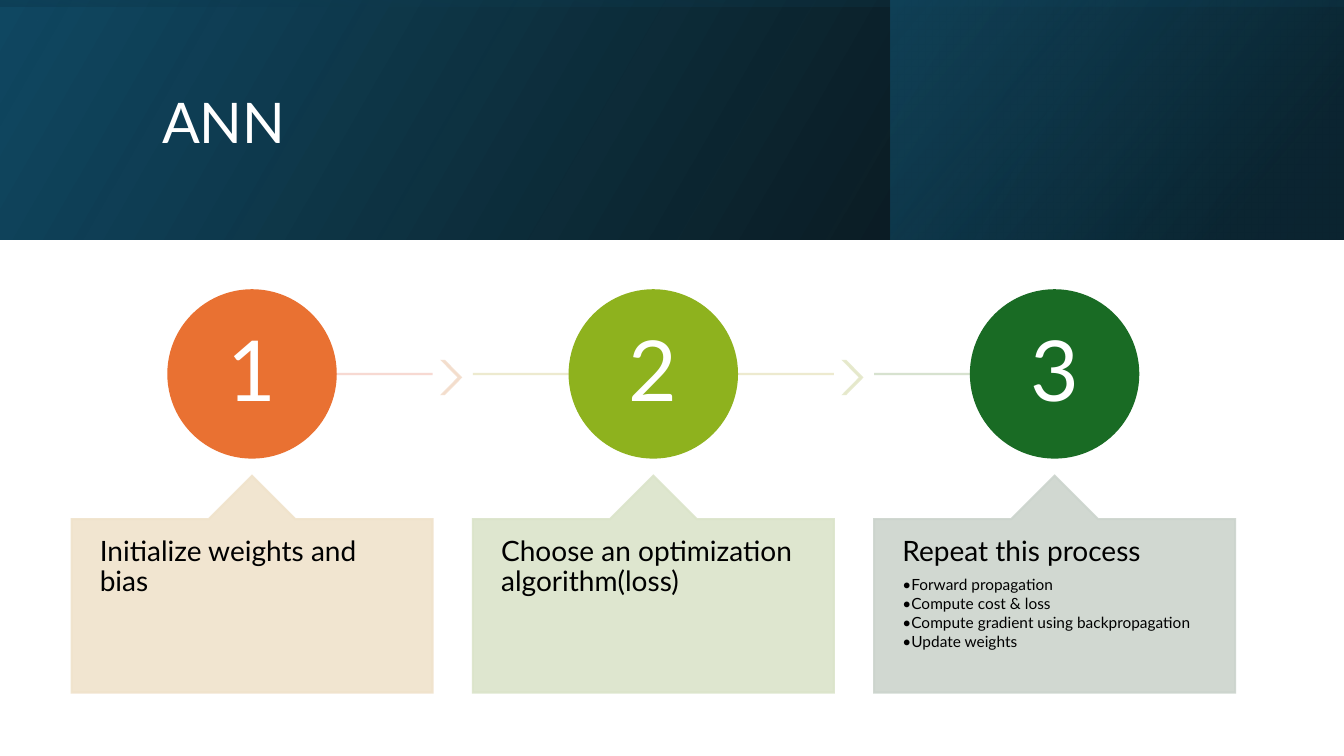
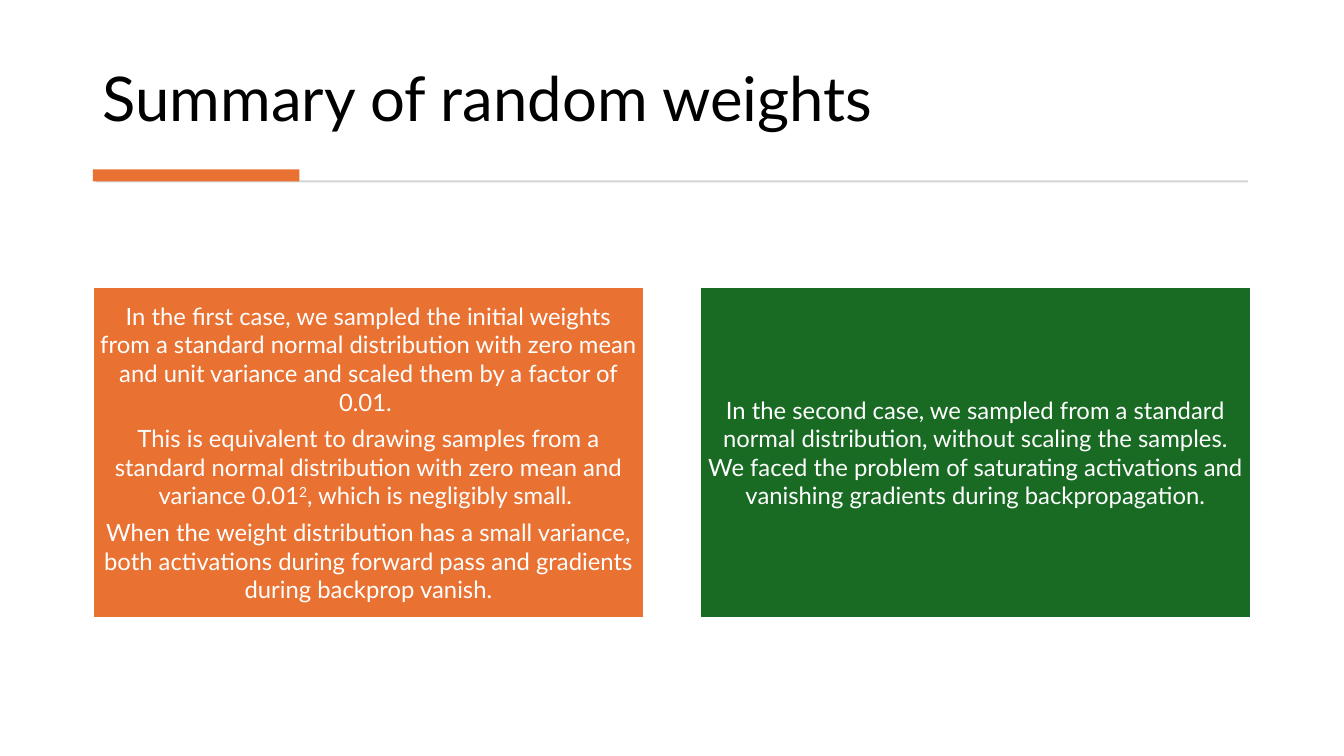
from lxml.etree import SubElement as Sub
from pptx import Presentation
from pptx.dml.color import RGBColor as RGB
from pptx.enum.shapes import MSO_CONNECTOR as LINK, MSO_SHAPE as KIND
from pptx.enum.text import MSO_ANCHOR as ANCHOR, PP_ALIGN as ALIGN
from pptx.oxml.ns import qn
from pptx.util import Inches, Pt

FONT = "Lato"
WIDE, HIGH = 13.33, 7.5
WHITE = RGB(0xFF, 0xFF, 0xFF)
BLACK = RGB(0, 0, 0)
ORANGE = RGB(0xE9, 0x71, 0x32)
LIME = RGB(0x8E, 0xB2, 0x1E)
GREEN = RGB(0x19, 0x6B, 0x24)
GREY = RGB(0xD5, 0xD5, 0xD5)
NAVY = RGB(0x10, 0x48, 0x62)
DEEP = RGB(0x0B, 0x30, 0x41)
TEAL = RGB(0x15, 0x60, 0x82)
PINK = RGB(0xF7, 0xD5, 0xCE)
PEACH = RGB(0xF3, 0xDD, 0xCC)
SAND = RGB(0xF0, 0xE3, 0xCB)
CREAM = RGB(0xEC, 0xE8, 0xCA)
STRAW = RGB(0xE5, 0xE8, 0xCA)
MINT = RGB(0xDB, 0xE4, 0xCA)
SAGE = RGB(0xD3, 0xDF, 0xCA)
MIST = RGB(0xCC, 0xD4, 0xCD)

STEPS = [
    (["Initialize weights and bias"], ORANGE, PINK, SAND, PEACH),
    (["Choose an optimization algorithm(loss)"], LIME, CREAM, MINT, STRAW),
    (["Repeat this process", "Forward propagation", "Compute cost & loss",
      "Compute gradient using backpropagation", "Update weights"],
     GREEN, SAGE, MIST, None),
]
CASES = [
    (ORANGE, [
        ["In the first case, we sampled the initial weights from a standard "
         "normal distribution with zero mean and unit variance and scaled "
         "them by a factor of 0.01. "],
        ["This is equivalent to drawing samples from a standard normal "
         "distribution with zero mean and variance\u00a00.01", "2",
         ", which is negligibly small. "],
        ["When the weight distribution has a small variance, both "
         "activations during forward pass and gradients during backprop "
         "vanish."]]),
    (GREEN, [
        ["In the second case, we sampled from a standard normal "
         "distribution, without scaling the samples. We faced the problem "
         "of saturating activations and vanishing gradients during "
         "backpropagation."]]),
]


def shape(slide, kind, box, fill, line=None):
    """Add a flat preset shape with an optional sharp 1.5 pt outline."""
    item = slide.shapes.add_shape(kind, *map(Inches, box))
    item.shadow.inherit = False
    item.fill.solid()
    item.fill.fore_color.rgb = fill
    if line is None:
        item.line.fill.background()
    else:
        item.line.color.rgb = line
        item.line.width = Pt(1.5)
        edge = item._element.spPr.find(qn("a:ln"))
        Sub(edge, qn("a:miter"), lim="800000")
    return item


def fade(item):
    """Make every colour of a shape 90 percent opaque."""
    for tint in item._element.spPr.iter(qn("a:srgbClr")):
        Sub(tint, qn("a:alpha"), val="90000")


def blend(slide, box, stops, angle, turn=0):
    """Add a mirrored rectangle with a translucent gradient."""
    item = shape(slide, KIND.RECTANGLE, box, WHITE)
    item.rotation = turn
    props = item._element.spPr
    props.get_or_add_xfrm().set("flipH", "1")
    grad = props.makeelement(qn("a:gradFill"), {"rotWithShape": "1"})
    props.replace(props.find(qn("a:solidFill")), grad)
    ramp = Sub(grad, qn("a:gsLst"))
    for place, tint, alpha in stops:
        stop = Sub(ramp, qn("a:gs"), pos=str(place * 1000))
        color = Sub(stop, qn("a:srgbClr"), val=str(tint))
        Sub(color, qn("a:alpha"), val=str(alpha * 1000))
    Sub(grad, qn("a:lin"), ang=str(angle * 60000), scaled="0")


def frame(item, pad, anchor):
    """Wrap the text of a shape with the given side and top insets."""
    text = item.text_frame
    text.word_wrap = True
    text.vertical_anchor = anchor
    text.margin_left = text.margin_right = Inches(pad[0])
    text.margin_top = text.margin_bottom = Inches(pad[1])
    return text


def style(para, size, color, align=ALIGN.LEFT, lead=0.9, after=0.35):
    """Format a paragraph, with space after as a share of its size."""
    para.alignment = align
    para.line_spacing = lead
    para.space_after = Pt(round(size * after, 1))
    for run in para.runs:
        run.font.name = FONT
        run.font.size = Pt(size)
        run.font.color.rgb = color


def title(slide, box, words, size, color, anchor):
    """Add the slide title."""
    item = slide.shapes.add_textbox(*map(Inches, box))
    text = frame(item, (0.1, 0.05), anchor)
    text.text = words
    style(text.paragraphs[0], size, color, after=0)


def banner(slide, high):
    """Layer the gradients of the dark header band."""
    blend(slide, (0, 0, WIDE, high), [(0, BLACK, 96), (100, NAVY, 100)], 330)
    blend(slide, (8.83, 0, 4.5, high), [(19, DEEP, 68), (100, TEAL, 48)], 320)
    mid = (WIDE - high) / 2
    blend(slide, (mid, -mid, high, WIDE),
          [(23, NAVY, 16), (99, BLACK, 45)], 350, 270)


def rail(slide, left, right, top, color):
    """Draw a translucent horizontal line."""
    item = slide.shapes.add_connector(
        LINK.STRAIGHT, *map(Inches, (left, top, right, top)))
    item.line.color.rgb = color
    item.line.width = Pt(1.5)
    fade(item)
    Sub(item._element.spPr, qn("a:effectLst"))


def bullet(para):
    """Give a second-level paragraph a hanging dot."""
    para.level = 1
    props = para._p.get_or_add_pPr()
    props.set("marL", str(Inches(0.06)))
    props.set("indent", str(-Inches(0.06)))
    Sub(props, qn("a:buFont"), typeface=FONT)
    Sub(props, qn("a:buChar"), char="•")


def step(slide, left, top, num, data):
    """Draw one numbered step with its link line and callout."""
    lines, disc, link, pale, arrow = data
    wide, size = 3.58, 1.66
    mid = left + wide / 2
    rail(slide, mid if num == 1 else left,
         mid if num == len(STEPS) else left + wide, top + 0.83, link)
    if arrow is not None:
        tip = shape(slide, KIND.CHEVRON,
                    (left + 3.68, top + 0.7, 0.18, 0.33), arrow, arrow)
        tip.adjustments[0] = 0.9
        fade(tip)
    ball = shape(slide, KIND.OVAL, (mid - size / 2, top, size, size),
                 disc, disc)
    text = frame(ball, (0.06, 0.06), ANCHOR.MIDDLE)
    text.text = str(num)
    style(text.paragraphs[0], 60, WHITE, ALIGN.CENTER)

    card = shape(slide, KIND.UP_ARROW_CALLOUT,
                 (left, top + 1.84, wide, 2.15), pale, pale)
    for spot, value in enumerate((0.5, 0.2, 0.2, 0.8)):
        card.adjustments[spot] = value
    fade(card)
    text = frame(card, (0.28, 0.18), ANCHOR.TOP)
    text.text = "\n".join(lines)
    head, *rest = text.paragraphs
    style(head, 20, BLACK)
    for para in rest:
        bullet(para)
        style(para, 11, BLACK, after=0.15)


def panel(slide, box, color, paras):
    """Draw a solid panel, raising the second run of a paragraph."""
    item = shape(slide, KIND.RECTANGLE, box, color, WHITE)
    text = frame(item, (0.07, 0.07), ANCHOR.MIDDLE)
    for spot, parts in enumerate(paras):
        para = text.add_paragraph() if spot else text.paragraphs[0]
        for part in parts:
            para.add_run().text = part
        style(para, 17, WHITE, ALIGN.CENTER, lead=1.0)
        for run in para.runs[1:2]:
            run.font._element.set("baseline", "30000")


def flow(slide):
    """Build the slide with three numbered steps."""
    banner(slide, 2.38)
    title(slide, (1.51, 0.38, 10.63, 1.72), "ANN", 40, WHITE, ANCHOR.MIDDLE)
    for spot, data in enumerate(STEPS):
        step(slide, 0.71 + 3.98 * spot, 2.88, spot + 1, data)


def recap(slide):
    """Build the slide with two summary panels."""
    left = 0.92
    title(slide, (left, 0.28, 11.49, 1.11), "Summary of random weights",
          44, BLACK, ANCHOR.BOTTOM)
    shape(slide, KIND.RECTANGLE, (0.95, 1.79, 11.43, 0.02), GREY)
    shape(slide, KIND.RECTANGLE, (left, 1.68, 2.05, 0.12), ORANGE)
    for spot, (color, paras) in enumerate(CASES):
        panel(slide, (left + 6.02 * spot, 2.85, 5.47, 3.28), color, paras)


def main():
    """Build and save the deck."""
    deck = Presentation()
    deck.slide_width, deck.slide_height = Inches(WIDE), Inches(HIGH)
    for build in (flow, recap):
        build(deck.slides.add_slide(deck.slide_layouts[6]))
    deck.save("out.pptx")


if __name__ == "__main__":
    main()
